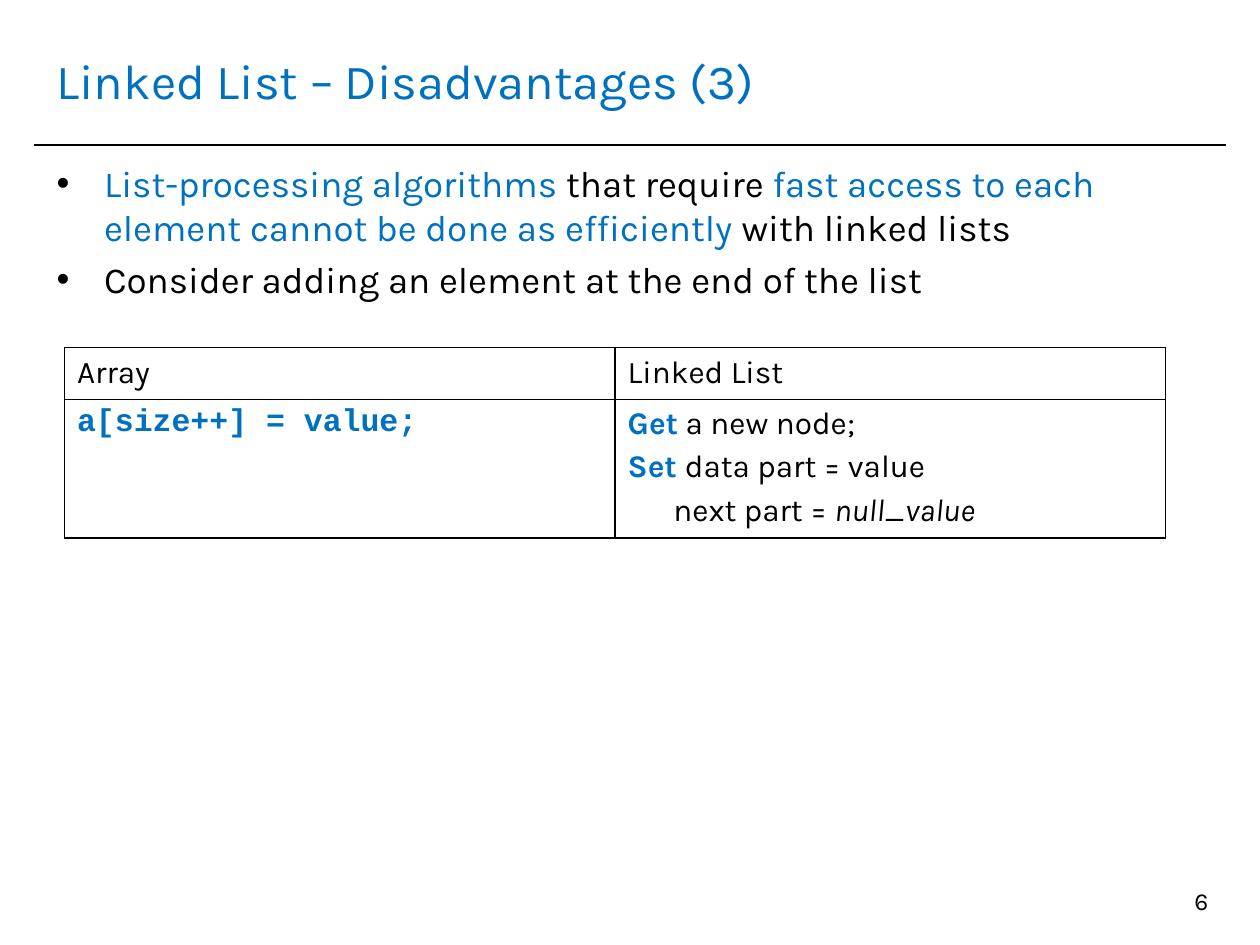
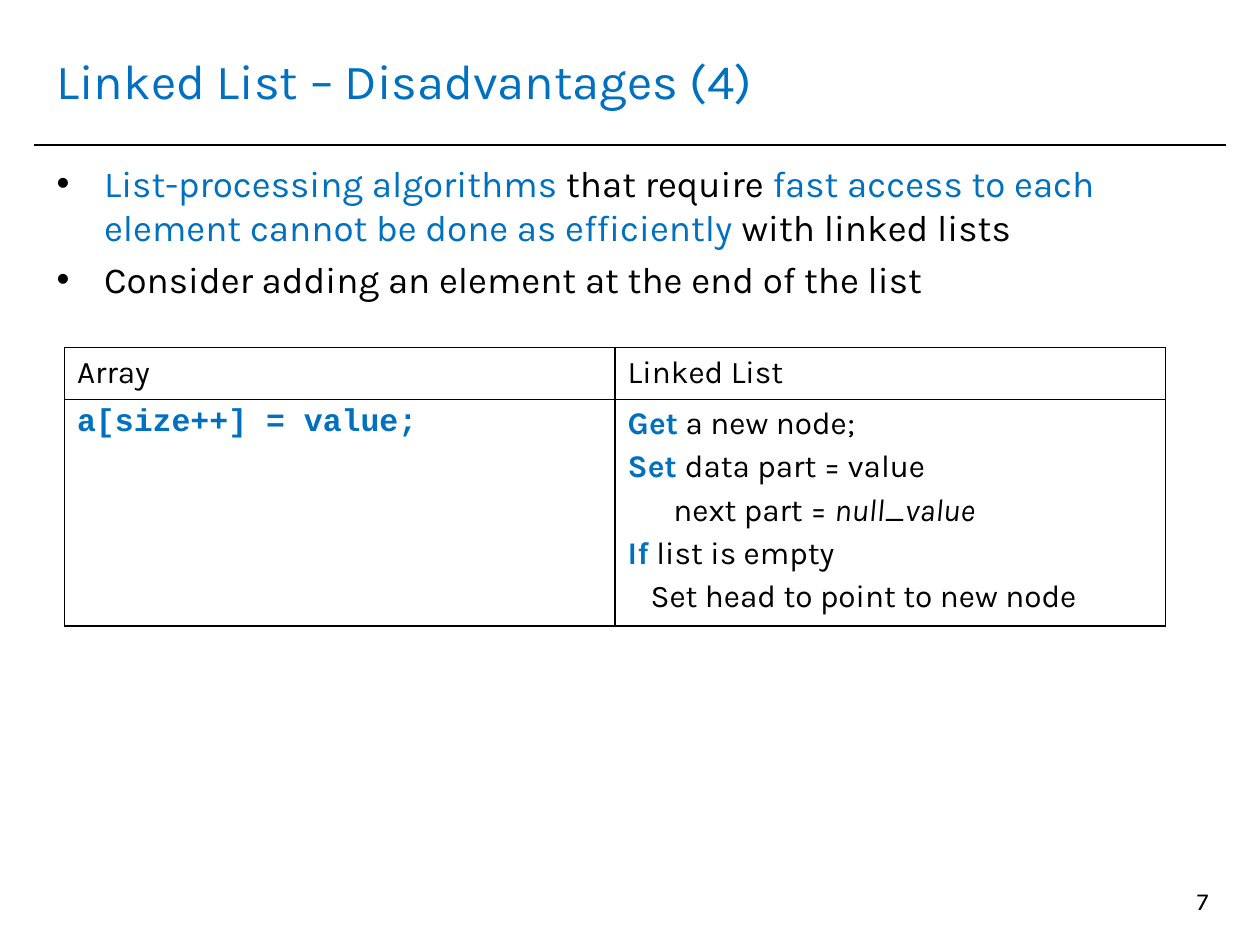
import dataclasses

import lxml.etree
import pptx
import pptx.dml.color
import pptx.enum.shapes
import pptx.enum.text
import pptx.oxml.ns
import pptx.util

Cm = pptx.util.Cm
Pt = pptx.util.Pt
qn = pptx.oxml.ns.qn
sub = lxml.etree.SubElement

# Shared look
BLUE = pptx.dml.color.RGBColor(0x00, 0x70, 0xC0)
BLACK = pptx.dml.color.RGBColor(0x00, 0x00, 0x00)
WHITE = pptx.dml.color.RGBColor(0xFF, 0xFF, 0xFF)
SANS = "Karla"
MONO = "Courier New"
LEFT, WIDTH = 0.89, 23.6
HANG = 0.96
HEAD_ROW, LINE_STEP = 1.04, 0.86


@dataclasses.dataclass(frozen=True)
class Run:
    text: str
    hue: pptx.dml.color.RGBColor | None = None
    bold: bool = False
    slant: bool = False


@dataclasses.dataclass(frozen=True)
class Line:
    runs: tuple[Run, ...]
    size: float = 18
    hue: pptx.dml.color.RGBColor = BLACK
    face: str = SANS
    indent: float = 0
    dot: bool = False
    right: bool = False


@dataclasses.dataclass(frozen=True)
class Page:
    title: str
    number: int
    steps: tuple[Line, ...]


# Wording
POINTS = (
    Line((
        Run("List-processing algorithms ", BLUE),
        Run("that require "),
        Run("fast access to each element cannot be done as efficiently ", BLUE),
        Run("with linked lists"),
    ), size=21, dot=True),
    Line((Run("Consider adding an element at the end of the list"),), size=21, dot=True),
)
CODE = Line((Run("a[size++] = value;", bold=True),), hue=BLUE, face=MONO)
NEW_NODE = (
    Line((Run("Get", BLUE, bold=True), Run(" a new node;"))),
    Line((Run("Set ", BLUE, bold=True), Run("data part = value"))),
    Line((Run("next part = "), Run("null_value", slant=True)), indent=0.92),
)
EMPTY_CASE = (
    Line((Run("If", BLUE, bold=True), Run(" list is empty"))),
    Line((Run("Set head to point to new node"),), indent=0.46),
)
PAGES = (
    Page("Linked List – Disadvantages (3)", 6, NEW_NODE),
    Page("Linked List – Disadvantages (4)", 7, NEW_NODE + EMPTY_CASE),
)


def add_dot(para) -> None:
    """Give a paragraph a black bullet with a hanging indent."""
    props = para._p.get_or_add_pPr()
    props.set("marL", str(Cm(HANG)))
    props.set("indent", str(-Cm(HANG)))
    tint = sub(props, qn("a:buClr"))
    sub(tint, qn("a:srgbClr"), val=str(BLACK))
    sub(props, qn("a:buFont"), typeface="Arial")
    sub(props, qn("a:buChar"), char="•")


def write(frame, lines: tuple[Line, ...]) -> None:
    """Fill a text frame, spacing lines by a fifth of their size."""
    for index, line in enumerate(lines):
        para = frame.add_paragraph() if index else frame.paragraphs[0]
        if index:
            para.space_before = Pt(line.size / 5)
        if line.dot:
            add_dot(para)
        elif line.indent:
            para._p.get_or_add_pPr().set("marL", str(Cm(line.indent)))
        if line.right:
            para.alignment = pptx.enum.text.PP_ALIGN.RIGHT
        para.font.name = line.face
        para.font.size = Pt(line.size)
        para.font.color.rgb = line.hue
        for part in line.runs:
            run = para.add_run()
            run.text = part.text
            if part.hue is not None:
                run.font.color.rgb = part.hue
            if part.bold:
                run.font.bold = True
            if part.slant:
                run.font.italic = True


def add_text(slide, left: float, top: float, width: float, height: float,
             lines: tuple[Line, ...], middle: bool = False) -> None:
    box = slide.shapes.add_textbox(Cm(left), Cm(top), Cm(width), Cm(height))
    frame = box.text_frame
    frame.word_wrap = True
    if middle:
        frame.vertical_anchor = pptx.enum.text.MSO_ANCHOR.MIDDLE
    write(frame, lines)


def add_rule(slide) -> None:
    """Draw the thin line below the title."""
    rule = slide.shapes.add_connector(
        pptx.enum.shapes.MSO_CONNECTOR.STRAIGHT, Cm(0.69), Cm(2.92), Cm(24.71), Cm(2.92))
    rule.line.color.rgb = BLACK
    rule.line.width = Pt(1)
    sub(rule._element.spPr, qn("a:effectLst"))


def style_cell(cell) -> None:
    """Set black borders, then a white fill."""
    props = cell._tc.get_or_add_tcPr()
    for side in ("lnL", "lnR", "lnT", "lnB"):
        edge = sub(props, qn(f"a:{side}"), w=str(Pt(1)))
        fill = sub(edge, qn("a:solidFill"))
        sub(fill, qn("a:srgbClr"), val=str(BLACK))
    cell.fill.solid()
    cell.fill.fore_color.rgb = WHITE


def add_grid(slide, steps: tuple[Line, ...]) -> None:
    """Compare the array with the linked list."""
    rows = (
        ((Line((Run("Array"),)),), (Line((Run("Linked List"),)),)),
        ((CODE,), steps),
    )
    heights = (HEAD_ROW, HEAD_ROW + LINE_STEP * (len(steps) - 1))
    grid = slide.shapes.add_table(
        2, 2, Cm(1.3), Cm(7.01), Cm(22.2), Cm(sum(heights))).table
    grid.first_row = False
    grid.horz_banding = False
    for y, cells in enumerate(rows):
        grid.rows[y].height = Cm(heights[y])
        for x, lines in enumerate(cells):
            cell = grid.cell(y, x)
            style_cell(cell)
            write(cell.text_frame, lines)


def add_page(deck, page: Page) -> None:
    slide = deck.slides.add_slide(deck.slide_layouts[6])
    add_rule(slide)
    title = Line((Run(page.title),), size=28, hue=BLUE)
    add_text(slide, LEFT, 0.53, WIDTH, 2.16, (title,), middle=True)
    add_text(slide, LEFT, 3.12, WIDTH, 3.4, POINTS)
    number = Line((Run(str(page.number)),), size=14, right=True)
    add_text(slide, 18.69, 17.73, 5.92, 1.32, (number,))
    add_grid(slide, page.steps)


def main() -> None:
    deck = pptx.Presentation()
    deck.slide_width = Cm(25.4)
    deck.slide_height = Cm(19.05)
    for page in PAGES:
        add_page(deck, page)
    deck.save("out.pptx")


if __name__ == "__main__":
    main()
